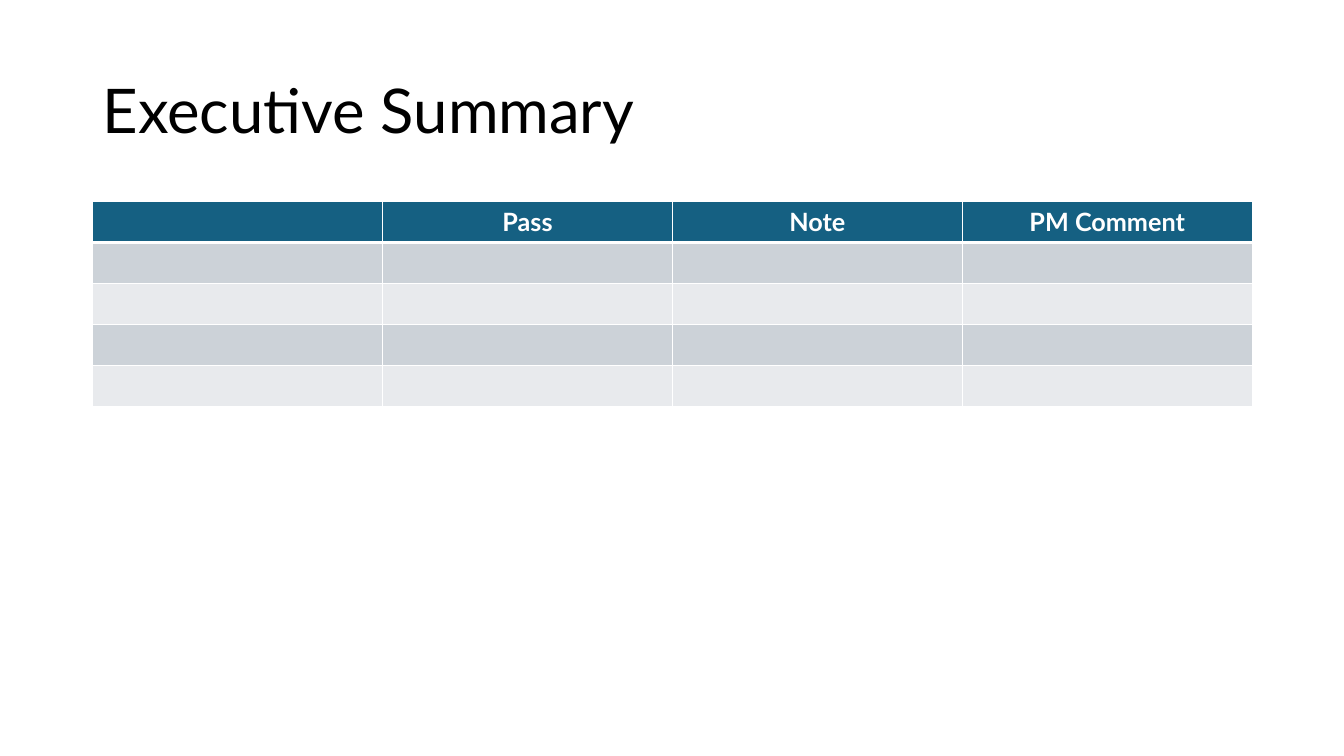
from lxml.etree import SubElement
from pptx import Presentation
from pptx.dml.color import RGBColor
from pptx.enum.text import MSO_ANCHOR, PP_ALIGN
from pptx.oxml.ns import qn
from pptx.util import Inches, Pt

FONT = "Lato"
COLORS = {
    "text": "000000",
    "white": "FFFFFF",
    "head": "156082",
    "dark": "CCD2D8",
    "light": "E8EAED",
}
HEADS = ["", "Pass", "Note", "PM Comment"]
ROWS = 5


def color(name):
    return RGBColor.from_string(COLORS[name])


def add_run(para, text, size, tint, bold=False):
    run = para.add_run()
    run.text = text
    run.font.name = FONT
    run.font.size = Pt(size)
    run.font.bold = bold
    run.font.color.rgb = color(tint)


def add_edges(cell, top, base):
    props = cell._tc.get_or_add_tcPr()
    for side, width in (("L", 1), ("R", 1), ("T", top), ("B", base)):
        line = SubElement(props, qn(f"a:ln{side}"), w=str(Pt(width)))
        fill = SubElement(line, qn("a:solidFill"))
        SubElement(fill, qn("a:srgbClr"), val=COLORS["white"])


def add_title(slide, left, top, width, height):
    box = slide.shapes.add_textbox(
        Inches(left), Inches(top), Inches(width), Inches(height))
    frame = box.text_frame
    frame.word_wrap = True
    frame.vertical_anchor = MSO_ANCHOR.MIDDLE
    para = frame.paragraphs[0]
    para.line_spacing = 0.9
    add_run(para, "Executive Summary", 44, "text")


def add_grid(slide, left, top, width, height):
    table = slide.shapes.add_table(
        ROWS, len(HEADS), Inches(left), Inches(top),
        Inches(width), Inches(height)).table
    for row in range(ROWS):
        # Header row, then alternating bands
        tint = "head" if row == 0 else ("light", "dark")[row % 2]
        for col, head in enumerate(HEADS):
            cell = table.cell(row, col)
            add_edges(cell, 3 if row == 1 else 1, 3 if row == 0 else 1)
            cell.fill.solid()
            cell.fill.fore_color.rgb = color(tint)
            cell.vertical_anchor = MSO_ANCHOR.MIDDLE
            para = cell.text_frame.paragraphs[0]
            para.alignment = PP_ALIGN.CENTER
            if row == 0 and head:
                add_run(para, head, 18, "white", True)


def main():
    deck = Presentation()
    deck.slide_width = Inches(13.33)
    deck.slide_height = Inches(7.5)
    slide = deck.slides.add_slide(deck.slide_layouts[6])
    # Title
    add_title(slide, 0.92, 0.4, 11.5, 1.45)
    # Summary table
    add_grid(slide, 0.92, 2, 11.5, 2.03)
    deck.save("out.pptx")


if __name__ == "__main__":
    main()
